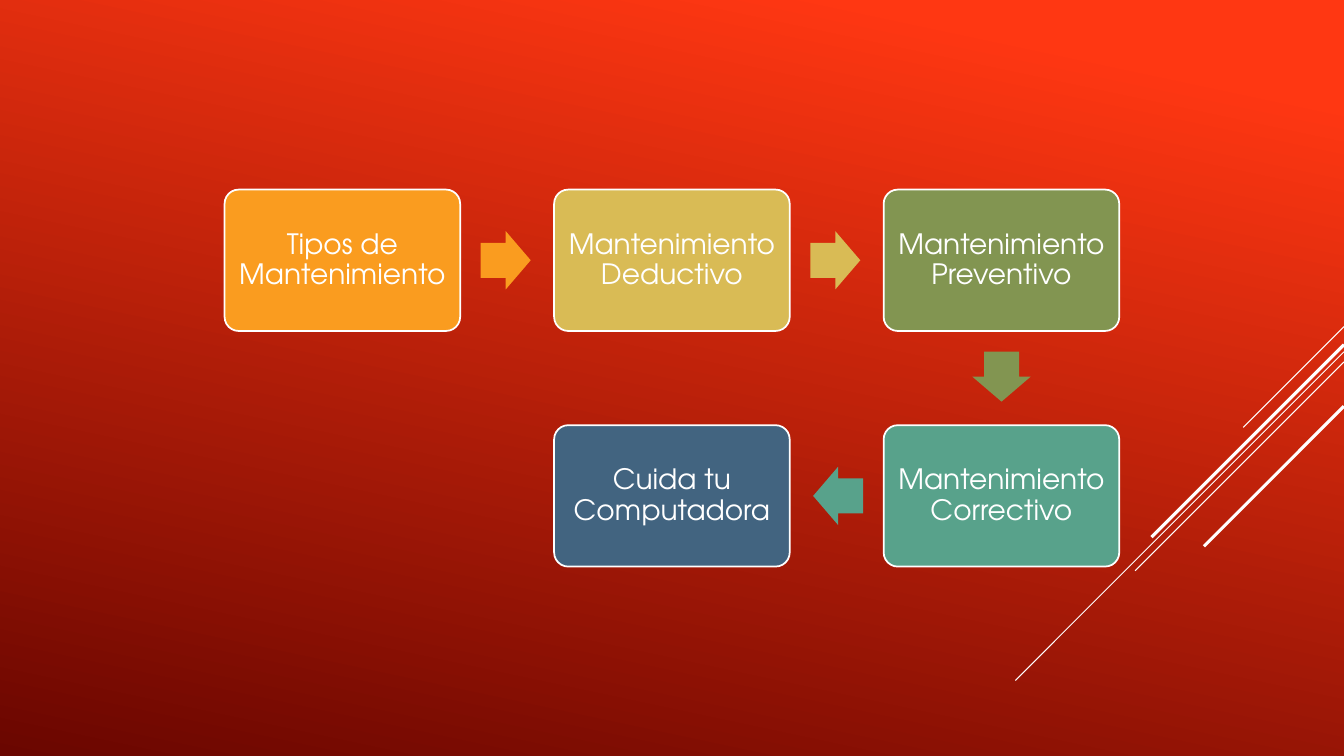
from math import atan2, cos, degrees, sin

from pptx import Presentation
from pptx.dml.color import RGBColor
from pptx.enum.shapes import MSO_CONNECTOR, MSO_SHAPE
from pptx.enum.text import MSO_ANCHOR, PP_ALIGN
from pptx.oxml.ns import qn
from pptx.util import Pt
from lxml.etree import SubElement

COLORS = {
    "white": "FFFFFF", "bright": "FF3712", "dark": "6A0600",
    "orange": "FA9C1F", "yellow": "D9BB55", "green": "829551",
    "teal": "58A28B", "blue": "426480",
}
FONT = "TeX Gyre Adventor"
STEPS = [
    ("Tipos de Mantenimiento", "orange", 0, 0),
    ("Mantenimiento Deductivo", "yellow", 1, 0),
    ("Mantenimiento Preventivo", "green", 2, 0),
    ("Mantenimiento Correctivo", "teal", 2, 1),
    ("Cuida tu Computadora", "blue", 1, 1),
]
RAYS = [
    (233.3, 72, 0.75), (251.3, 234.7, 0.75), (258.5, 149.2, 0.75),
    (246.2, 137.5, 2.25), (290.2, 100, 2.25),
]
WIDE, HIGH = 960, 540
LEFT, TOP = 160.4, 135.4
BOX_W, BOX_H = 168.3, 101
STEP_X, STEP_Y = 235.4, 168.3
ARROW_W, ARROW_H = 35.7, 41.7


def color(name):
    return RGBColor.from_string(COLORS[name])


def add_ray(slide, y, size, width):
    ray = slide.shapes.add_connector(
        MSO_CONNECTOR.STRAIGHT, Pt(WIDE), Pt(y), Pt(WIDE - size), Pt(y + size))
    ray.line.color.rgb = color("white")
    ray.line.width = Pt(width)
    SubElement(ray._element.spPr, qn("a:effectLst"))


def add_form(slide, kind, mid, size, fill, adjust):
    (x, y), (w, h) = mid, size
    form = slide.shapes.add_shape(
        kind, Pt(x - w / 2), Pt(y - h / 2), Pt(w), Pt(h))
    for i, value in enumerate(adjust):
        form.adjustments[i] = value
    form.shadow.inherit = False
    form.fill.solid()
    form.fill.fore_color.rgb = color(fill)
    form.line.fill.background()
    return form


def write(shape, text, size=20, ink="white", inset=6, spacing=0.9):
    frame = shape.text_frame
    frame.word_wrap = True
    frame.vertical_anchor = MSO_ANCHOR.MIDDLE
    frame.margin_left = frame.margin_right = Pt(inset)
    frame.margin_top = frame.margin_bottom = Pt(inset)
    par = frame.paragraphs[0]
    par.alignment = PP_ALIGN.CENTER
    par.line_spacing = spacing
    run = par.add_run()
    run.text = text
    run.font.name = FONT
    run.font.size = Pt(size)
    run.font.color.rgb = color(ink)


def add_box(slide, text, fill, mid):
    box = add_form(slide, MSO_SHAPE.ROUNDED_RECTANGLE, mid,
                   (BOX_W, BOX_H), fill, [0.1])
    box.line.color.rgb = color("white")
    box.line.width = Pt(1.25)
    write(box, text)


def add_arrow(slide, fill, start, end):
    turn = atan2(end[1] - start[1], end[0] - start[0])
    mid = ((start[0] + end[0]) / 2 - cos(turn),
           (start[1] + end[1]) / 2 - sin(turn))
    arrow = add_form(slide, MSO_SHAPE.RIGHT_ARROW, mid,
                     (ARROW_W, ARROW_H), fill, [0.6, 0.5])
    arrow.rotation = degrees(turn)


def paint(slide):
    fill = slide.background.fill
    fill.gradient()
    fill.gradient_angle = 258
    stops = [(0.1, "bright"), (1, "dark")]
    for stop, (place, name) in zip(fill.gradient_stops, stops):
        stop.position = place
        stop.color.rgb = color(name)


def main():
    deck = Presentation()
    deck.slide_width, deck.slide_height = Pt(WIDE), Pt(HIGH)
    slide = deck.slides.add_slide(deck.slide_layouts[6])
    paint(slide)
    for ray in RAYS:
        add_ray(slide, *ray)
    mids = [(LEFT + BOX_W / 2 + col * STEP_X, TOP + BOX_H / 2 + row * STEP_Y)
            for _, _, col, row in STEPS]
    for (text, fill, _, _), mid in zip(STEPS, mids):
        add_box(slide, text, fill, mid)
    for (_, fill, _, _), start, end in zip(STEPS, mids, mids[1:]):
        add_arrow(slide, fill, start, end)
    deck.save("out.pptx")


if __name__ == "__main__":
    main()
